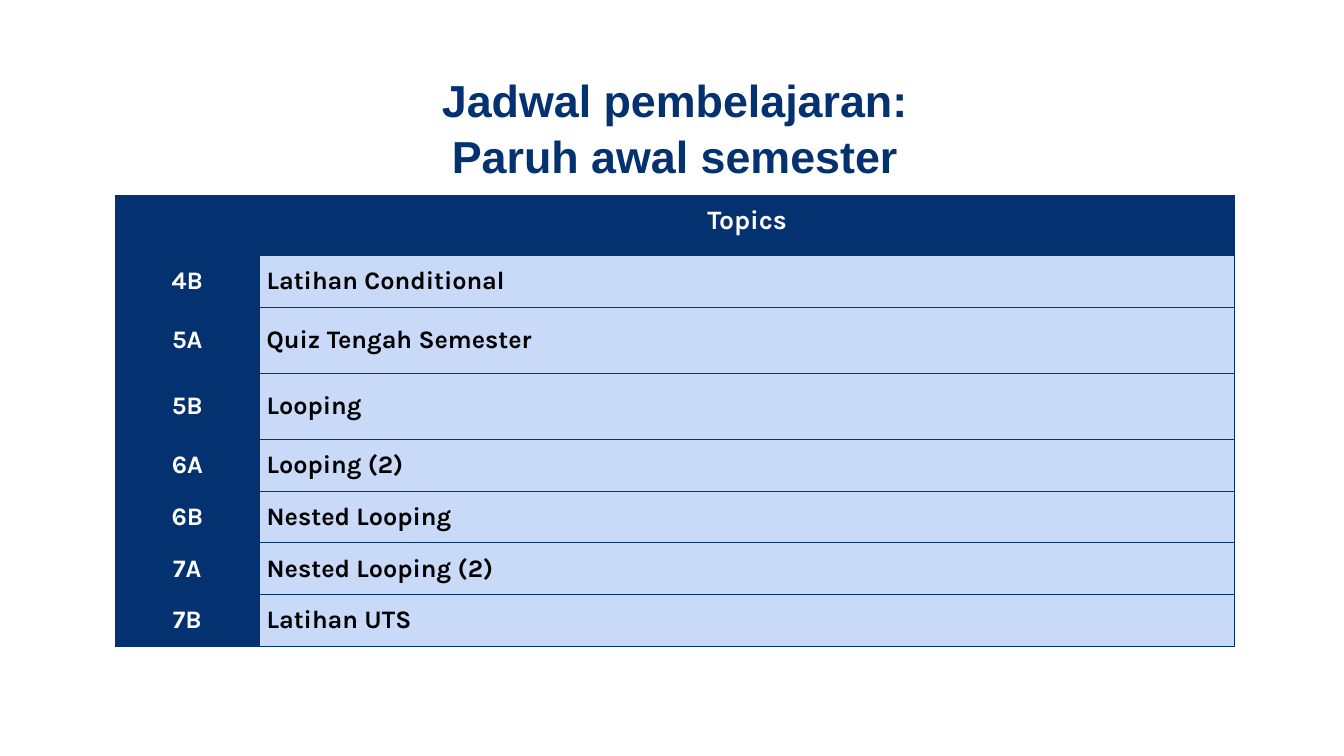
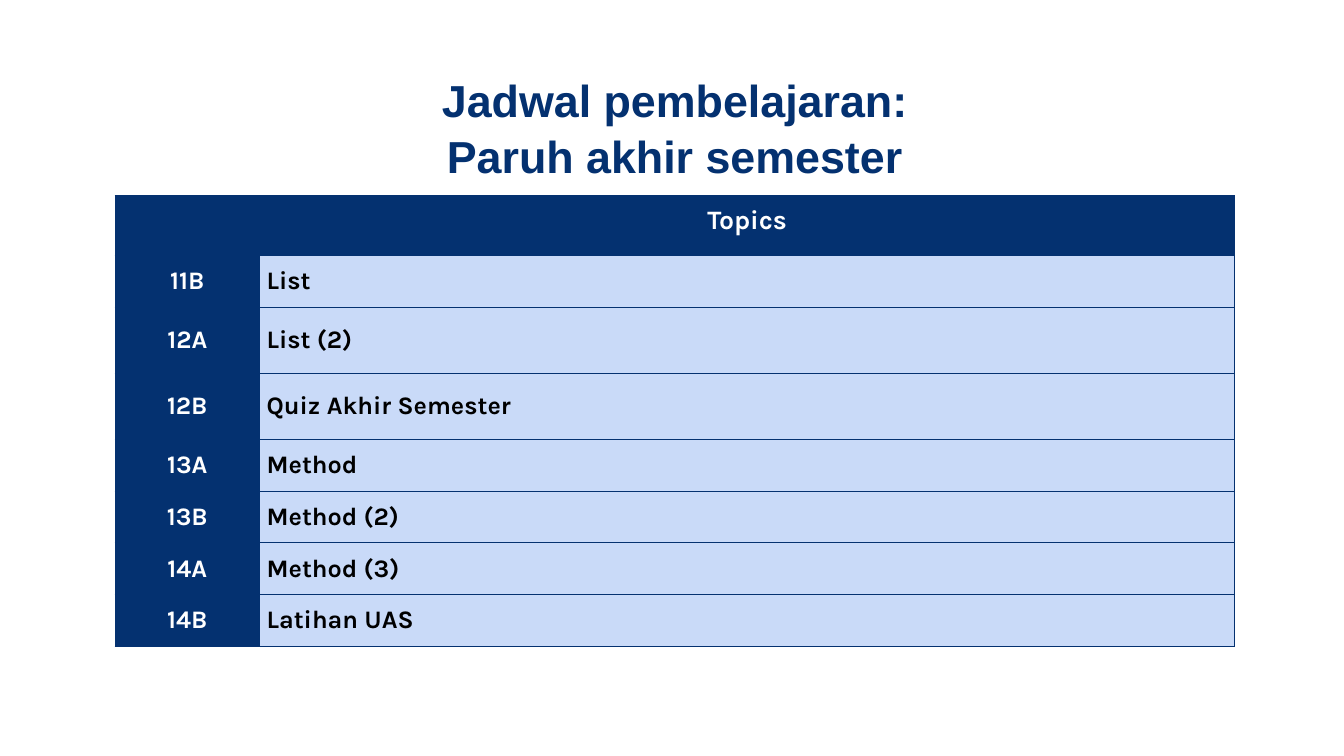
from lxml import etree
from pptx import Presentation
from pptx.dml.color import RGBColor
from pptx.enum.text import MSO_ANCHOR, MSO_AUTO_SIZE, PP_ALIGN
from pptx.oxml.ns import qn
from pptx.util import Cm, Pt

LEFT, CENTER = PP_ALIGN.LEFT, PP_ALIGN.CENTER
TOP, MIDDLE, BOTTOM = MSO_ANCHOR.TOP, MSO_ANCHOR.MIDDLE, MSO_ANCHOR.BOTTOM
NO_FIT = MSO_AUTO_SIZE.NONE
TITLE_ONLY = 5

NAVY, PALE, WHITE, BLACK = "043170", "C9DAF8", "FFFFFF", "000000"


def color(value):
    return RGBColor.from_string(value)


def set_values(target, values):
    for name, value in values.items():
        setattr(target, name, value)


class ScheduleDeck:
    """Holds the shared style and the current page."""

    MARGIN, WIDTH = 2.9, 28.22
    TITLE_TOP, TITLE_HEIGHT = 2.59, 2.34
    COLUMNS = (3.64, 24.58)
    ROWS = (1.51, 1.3, 1.67, 1.67, 1.3, 1.3, 1.3, 1.3)

    TITLE_FONT = {"name": "Arial", "size": Pt(32), "bold": True}
    HEADER_FONT = {"name": "Karla", "size": Pt(19), "bold": True}
    BODY_FONT = {"name": "Karla", "size": Pt(18), "bold": True}

    # Cell kinds: alignment, anchor, side and end margins, fill, text colour, font
    HEADER = (CENTER, TOP, 0.33, 0.25, NAVY, WHITE, HEADER_FONT)
    WEEK = (CENTER, MIDDLE, 0.25, 0.13, NAVY, WHITE, BODY_FONT)
    TOPIC = (LEFT, MIDDLE, 0.18, 0.13, PALE, BLACK, BODY_FONT)

    def __init__(self):
        self.deck = Presentation()
        self.deck.slide_width = Cm(33.87)
        self.deck.slide_height = Cm(19.05)
        self.page = None

    def add_page(self, title):
        self.page = self.deck.slides.add_slide(self.deck.slide_layouts[TITLE_ONLY])
        box = self.page.shapes.title
        set_values(box, {"left": Cm(self.MARGIN), "top": Cm(self.TITLE_TOP),
                         "width": Cm(self.WIDTH), "height": Cm(self.TITLE_HEIGHT)})
        frame = box.text_frame
        sides = ("left", "top", "right", "bottom")
        set_values(frame, {f"margin_{side}": Cm(0.33) for side in sides})
        set_values(frame, {"vertical_anchor": BOTTOM, "word_wrap": True,
                           "auto_size": NO_FIT, "text": title})
        para = frame.paragraphs[0]
        set_values(para, {"alignment": CENTER, "line_spacing": 1.05})
        self.format_spans(para, self.TITLE_FONT, NAVY)

    def format_spans(self, para, font, text_color):
        for span in para.runs:
            set_values(span.font, font)
            span.font.color.rgb = color(text_color)

    def add_borders(self, cell):
        properties = cell._tc.get_or_add_tcPr()
        for side in ("lnL", "lnR", "lnT", "lnB"):
            line = etree.SubElement(properties, qn(f"a:{side}"), w=str(Pt(0.75)))
            fill = etree.SubElement(line, qn("a:solidFill"))
            etree.SubElement(fill, qn("a:srgbClr"), val=NAVY)

    def fill_cell(self, cell, text, kind):
        alignment, anchor, side, end, fill, text_color, font = kind
        self.add_borders(cell)
        cell.fill.solid()
        cell.fill.fore_color.rgb = color(fill)
        set_values(cell, {"vertical_anchor": anchor, "text": text,
                          "margin_left": Cm(side), "margin_right": Cm(side),
                          "margin_top": Cm(end), "margin_bottom": Cm(end)})
        para = cell.text_frame.paragraphs[0]
        para.alignment = alignment
        self.format_spans(para, font, text_color)

    def add_schedule(self, topics):
        table = self.page.shapes.add_table(
            len(self.ROWS), len(self.COLUMNS),
            Cm(self.MARGIN), Cm(self.TITLE_TOP + self.TITLE_HEIGHT),
            Cm(self.WIDTH), Cm(sum(self.ROWS))).table
        table.horz_banding = False
        for column, width in zip(table.columns, self.COLUMNS):
            column.width = Cm(width)
        for row, height in zip(table.rows, self.ROWS):
            row.height = Cm(height)

        # Header row, then one row per meeting
        self.fill_cell(table.cell(0, 0), "", self.WEEK)
        self.fill_cell(table.cell(0, 1), "Topics", self.HEADER)
        for index, (week, topic) in enumerate(topics, start=1):
            self.fill_cell(table.cell(index, 0), week, self.WEEK)
            self.fill_cell(table.cell(index, 1), topic, self.TOPIC)


SCHEDULES = {
    "awal": [
        ("4B", "Latihan Conditional"),
        ("5A", "Quiz Tengah Semester"),
        ("5B", "Looping"),
        ("6A", "Looping (2)"),
        ("6B", "Nested Looping"),
        ("7A", "Nested Looping (2)"),
        ("7B", "Latihan UTS"),
    ],
    "akhir": [
        ("11B", "List"),
        ("12A", "List (2)"),
        ("12B", "Quiz Akhir Semester"),
        ("13A", "Method"),
        ("13B", "Method (2)"),
        ("14A", "Method (3)"),
        ("14B", "Latihan UAS"),
    ],
}


def main():
    schedule = ScheduleDeck()
    for half, topics in SCHEDULES.items():
        schedule.add_page(f"Jadwal pembelajaran:\vParuh {half} semester")
        schedule.add_schedule(topics)
    schedule.deck.save("out.pptx")


if __name__ == "__main__":
    main()
